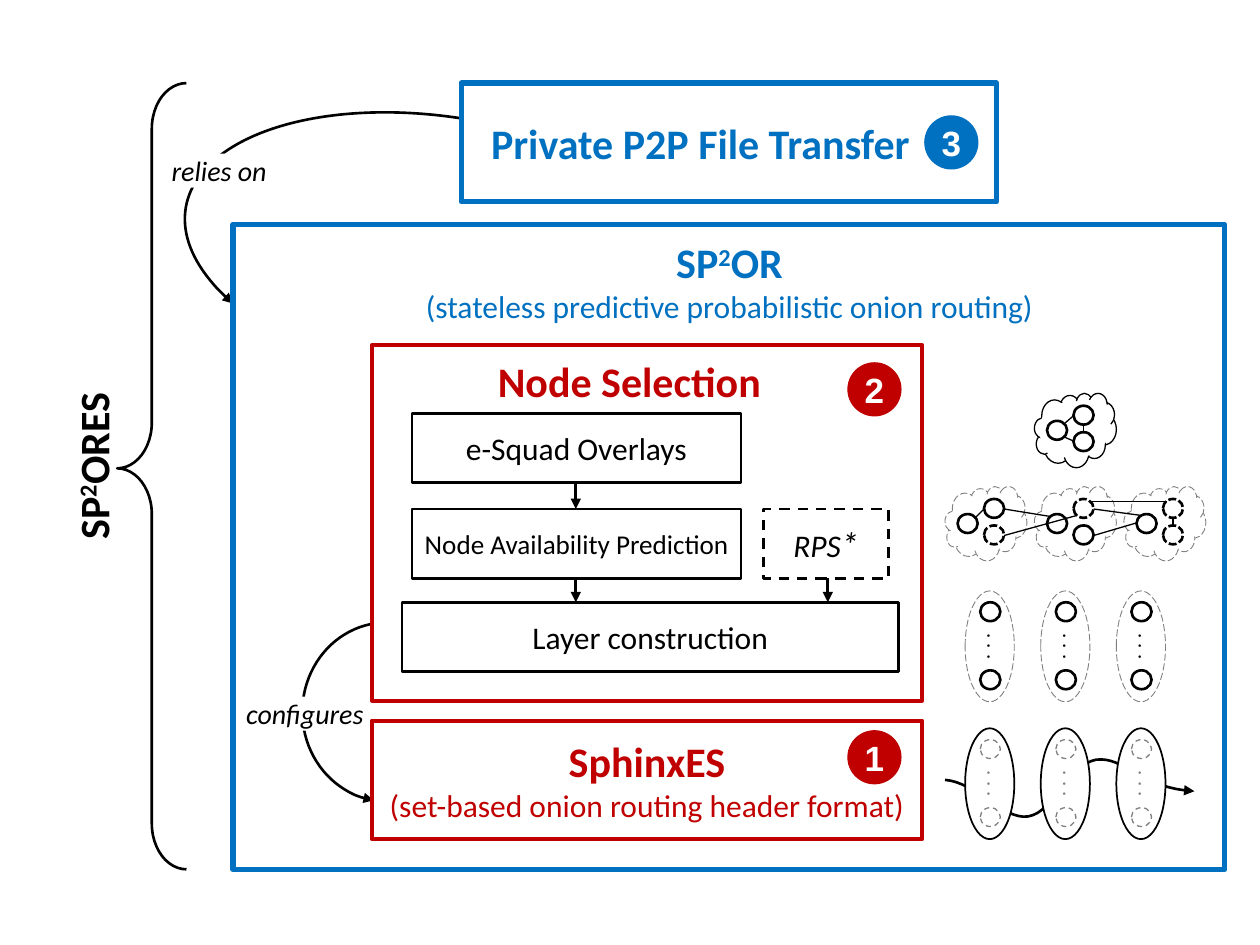
from lxml import etree
from pptx import Presentation
from pptx.dml.color import RGBColor
from pptx.enum.dml import MSO_LINE
from pptx.enum.shapes import MSO_CONNECTOR, MSO_SHAPE
from pptx.enum.text import MSO_ANCHOR, PP_ALIGN
from pptx.oxml.ns import qn
from pptx.util import Inches, Pt

RECT, OVAL, CLOUD = MSO_SHAPE.RECTANGLE, MSO_SHAPE.OVAL, MSO_SHAPE.CLOUD
ARC, BRACE = MSO_SHAPE.ARC, MSO_SHAPE.RIGHT_BRACE
STRAIGHT = MSO_CONNECTOR.STRAIGHT
DASH, LONG_DASH, SHORT_DASH = MSO_LINE.DASH, MSO_LINE.LONG_DASH, MSO_LINE.SQUARE_DOT
CENTER, MIDDLE = PP_ALIGN.CENTER, MSO_ANCHOR.MIDDLE

BLACK, WHITE, GRAY, RED, BLUE = "000000", "FFFFFF", "808080", "C00000", "0070C0"


def rgb(value):
    return RGBColor.from_string(value)


def bezier(p0, p1, p2, p3, steps=16):
    """Points along a cubic curve, without its first point."""
    for i in range(1, steps + 1):
        t = i / steps
        weights = ((1 - t) ** 3, 3 * t * (1 - t) ** 2, 3 * t * t * (1 - t), t ** 3)
        yield tuple(sum(w * p[axis] for w, p in zip(weights, (p0, p1, p2, p3)))
                    for axis in (0, 1))


class Diagram:
    def __init__(self, slide, font="Calibri"):
        self.slide = slide
        self.font = font

    def stroke(self, shape, color, width, dash=None, arrow=False):
        line = shape.line
        line.color.rgb = rgb(color)
        line.width = Pt(width)
        if dash:
            line.dash_style = dash
        if arrow:
            etree.SubElement(line._get_or_add_ln(), qn("a:tailEnd"), type="triangle")

    def label(self, shape, runs, color, size=18, bold=False, italic=False,
              font=None, inset=None, wrap=False):
        """Fill a shape with runs of (text, overrides); a newline breaks the line."""
        frame = shape.text_frame
        frame.word_wrap = wrap
        if inset is not None:
            frame.margin_left = frame.margin_right = Inches(inset)
            frame.margin_top = frame.margin_bottom = Inches(inset)
        paragraph = frame.paragraphs[0]
        paragraph.alignment = CENTER
        style = paragraph.font
        style.name, style.size = font or self.font, Pt(size)
        style.bold, style.italic = bold, italic
        style.color.rgb = rgb(color)
        if isinstance(runs, str):
            runs = [(runs, {})]
        for text, change in runs:
            if text == "\n":
                paragraph.add_line_break()
                continue
            run = paragraph.add_run()
            run.text = text
            if "size" in change:
                run.font.size = Pt(change["size"])
            if "bold" in change:
                run.font.bold = change["bold"]
            if change.get("superscript"):
                run._r.get_or_add_rPr().set("baseline", "30000")

    def shape(self, kind, x, y, w, h, fill=WHITE, line=BLACK, width=1.5,
              dash=None, arrow=False):
        shape = self.slide.shapes.add_shape(kind, Inches(x), Inches(y), Inches(w), Inches(h))
        shape.shadow.inherit = False
        if fill:
            shape.fill.solid()
            shape.fill.fore_color.rgb = rgb(fill)
        else:
            shape.fill.background()
        if line:
            self.stroke(shape, line, width, dash, arrow)
        else:
            shape.line.fill.background()
        return shape

    def box(self, x, y, w, h, runs, color=BLACK, line=BLACK, width=1.5, dash=None, **style):
        box = self.shape(RECT, x, y, w, h, line=line, width=width, dash=dash)
        box.text_frame.vertical_anchor = MIDDLE
        self.label(box, runs, color, **style)
        return box

    def text(self, x, y, w, h, runs, color, rotation=0, **style):
        text = self.slide.shapes.add_textbox(Inches(x), Inches(y), Inches(w), Inches(h))
        text.rotation = rotation
        self.label(text, runs, color, **style)

    def arc(self, x, y, w, h, rotation, start, end):
        arc = self.shape(ARC, x, y, w, h, fill=None, arrow=True)
        arc.rotation = rotation
        arc._element.spPr.xfrm.set("flipV", "1")
        arc.adjustments[0], arc.adjustments[1] = start, end

    def link(self, x1, y1, x2, y2, width=0.75, arrow=False):
        link = self.slide.shapes.add_connector(
            STRAIGHT, Inches(x1), Inches(y1), Inches(x2), Inches(y2))
        self.stroke(link, BLACK, width, arrow=arrow)
        etree.SubElement(link._element.spPr, qn("a:effectLst"))

    def wave(self, start, *curves):
        points = [start]
        for curve in curves:
            points.extend(bezier(points[-1], *curve))
        points = [(Inches(x), Inches(y)) for x, y in points]
        builder = self.slide.shapes.build_freeform(*points[0])
        builder.add_line_segments(points[1:], close=False)
        wave = builder.convert_to_shape()
        wave.shadow.inherit = False
        wave.fill.background()
        self.stroke(wave, BLACK, 1.5, arrow=True)

    def badge(self, x, y, number, color):
        badge = self.shape(OVAL, x, y, 0.42, 0.42, color, color, 0.75)
        badge.text_frame.vertical_anchor = MIDDLE
        self.label(badge, number, WHITE, size=20, bold=True, font="Arial", inset=0)

    def node(self, x, y, **line):
        self.shape(OVAL, x, y, 0.16, 0.15, **line)

    def layer(self, x, y, color, outline, node_line):
        """A tall oval holding two nodes with dots between them."""
        self.shape(OVAL, x, y, 0.39, 0.88, **outline)
        for dy in (0.09, 0.63):
            self.node(x + 0.12, y + dy, **node_line)
        self.text(x + 0.14, y + 0.34, 0.21, 0.2, ". . .", color, rotation=90,
                  size=12, font="Times New Roman", inset=0)

    def overlay(self, x, y, outline, dashes):
        """A cloud with a left, an upper and a lower node."""
        self.shape(CLOUD, x, y, 0.65, 0.59, **outline)
        self.shape(OVAL, x + 0.04, y + 0.07, 0.55, 0.44, line=WHITE, width=0.75)
        for (dx, dy), dash in zip(((0.1, 0.22), (0.31, 0.1), (0.31, 0.31)), dashes):
            self.node(x + dx, y + dy, dash=dash)


def main():
    deck = Presentation()
    deck.slide_width, deck.slide_height = Inches(10), Inches(7.5)
    d = Diagram(deck.slides.add_slide(deck.slide_layouts[6]))
    square = ("2", {"superscript": True})

    # Header format and node selection
    d.arc(2.36, 4.98, 1.42, 1.34, 90, 107.94, 211)
    d.shape(RECT, 2.95, 2.74, 4.37, 2.82, line=RED, width=2.25)
    d.box(1.95, 5.53, 0.94, 0.27, "configures", line=None, size=16, italic=True, inset=0)
    d.box(2.95, 5.72, 4.37, 0.94,
          [("SphinxES", {"size": 24, "bold": True}), ("\n", {}),
           ("(set-based onion routing header format)", {})],
          RED, RED, 2.25)
    d.box(3.19, 4.78, 3.94, 0.55, "Layer construction")
    d.box(3.27, 4.04, 2.61, 0.55, "Node Availability Prediction", size=15.5)
    d.box(3.27, 3.28, 2.61, 0.55, "e-Squad Overlays")

    # Whole system
    brace = d.shape(BRACE, 0.93, 0.66, 0.55, 6.24, fill=None)
    brace._element.spPr.xfrm.set("flipH", "1")
    brace.adjustments[0], brace.adjustments[1] = 0.66, 0.49
    d.text(-0.1, 3.45, 1.67, 0.5, [("SP", {}), square, ("ORES", {})], BLACK,
           rotation=270, size=24, bold=True, wrap=True)
    d.text(3.25, 1.83, 5.08, 0.81,
           [("SP", {}), square, ("OR", {}), ("\n", {}),
            ("(stateless predictive probabilistic onion routing)",
             {"size": 18, "bold": False})],
           BLUE, size=24, bold=True)
    d.arc(2.48, -0.1, 2.13, 4.2, 99.7, 109.32, 175.96)
    d.shape(RECT, 1.85, 1.78, 7.87, 5.12, fill=None, line=BLUE, width=3)
    d.text(3.84, 2.77, 2.31, 0.5, "Node Selection", RED, size=24, bold=True)
    d.box(1.36, 1.22, 0.76, 0.27, "relies on", line=None, size=16, italic=True, inset=0)
    transfer = d.box(3.66, 0.66, 4.25, 0.94, "Private P2P File Transfer", BLUE, BLUE, 3,
                     size=24, bold=True, wrap=True)
    transfer.text_frame.margin_right = Inches(0.55)
    d.box(6.06, 4.04, 0.99, 0.55, [("RPS", {}), ("*", {"size": 20})], dash=DASH, italic=True)
    for x, top, bottom in ((4.57, 3.83, 4.04), (4.57, 4.59, 4.78), (6.57, 4.59, 4.78)):
        d.link(x, top, x, bottom, 1.5, arrow=True)

    # Route through the layers
    d.wave((7.5, 6.19),
           ((7.75, 6.21), (7.96, 6.51), (8.16, 6.48)),
           ((8.36, 6.45), (8.48, 6.07), (8.7, 6.03)),
           ((8.92, 6), (9.06, 6.26), (9.48, 6.28)))
    faint = {"line": GRAY, "width": 0.5, "dash": LONG_DASH}
    for column in range(3):
        x = 7.66 + 0.6 * column
        d.layer(x, 5.78, GRAY, {"width": 1}, {"line": GRAY, "width": 0.75, "dash": DASH})
        d.layer(x, 4.69, BLACK, faint, {})

    # Overlays and their links
    d.overlay(8.21, 3.12, {"width": 0.75}, (None, None, None))
    for column, dashes in enumerate(((None, None, SHORT_DASH),
                                     (None, SHORT_DASH, None),
                                     (None, SHORT_DASH, SHORT_DASH))):
        d.overlay(7.5 + 0.71 * column, 3.86, faint, dashes)
    for ends in ((7.97, 4.04, 8.34, 4.1), (7.97, 4.25, 8.55, 4.09),
                 (8.68, 4.25, 9.02, 4.15), (8.68, 4.04, 9.05, 4.09),
                 (7.81, 4.04, 7.74, 4.11), (9.31, 4.11, 9.31, 4.16),
                 (8.66, 3.98, 9.26, 3.98), (8.52, 3.3, 8.45, 3.36),
                 (8.52, 3.5, 8.45, 3.47), (8.6, 3.43, 8.6, 3.37)):
        d.link(*ends)

    d.badge(6.73, 5.8, "1", RED)
    d.badge(6.73, 2.88, "2", RED)
    d.badge(7.34, 0.92, "3", BLUE)

    deck.save("out.pptx")


if __name__ == "__main__":
    main()
